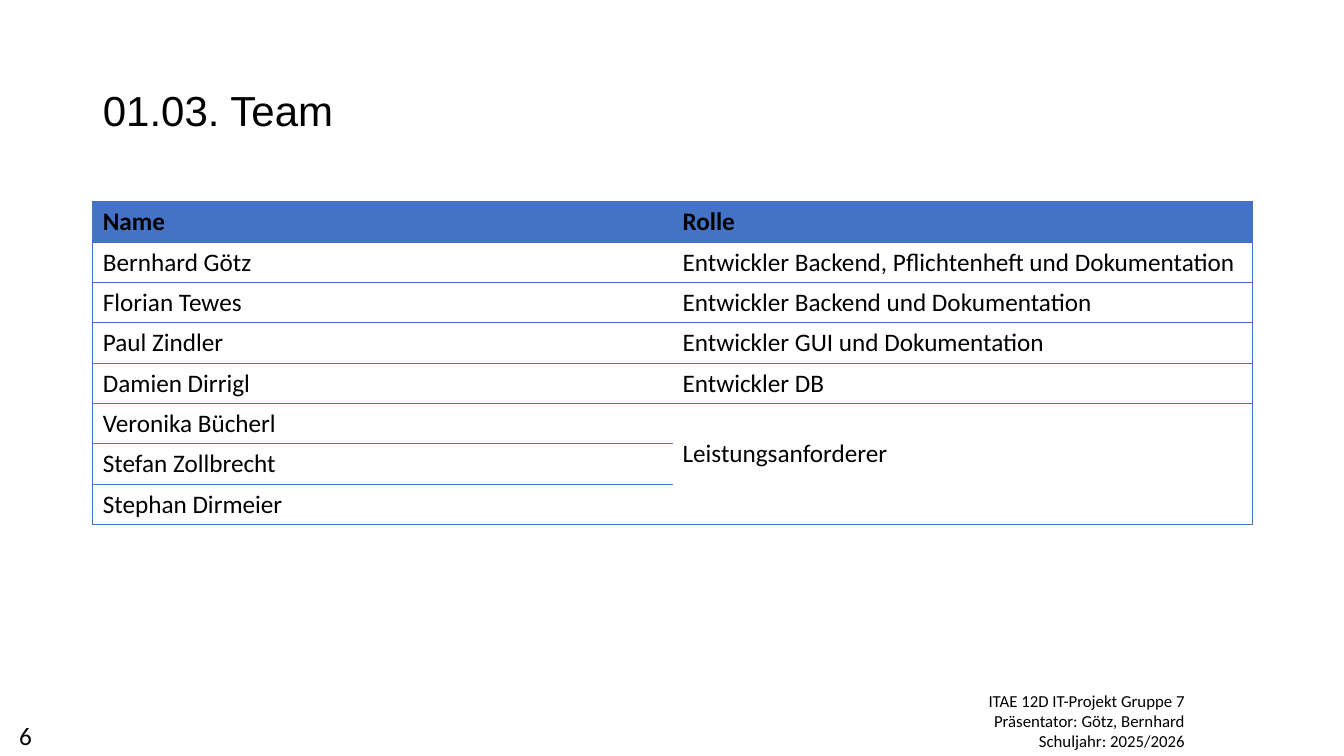
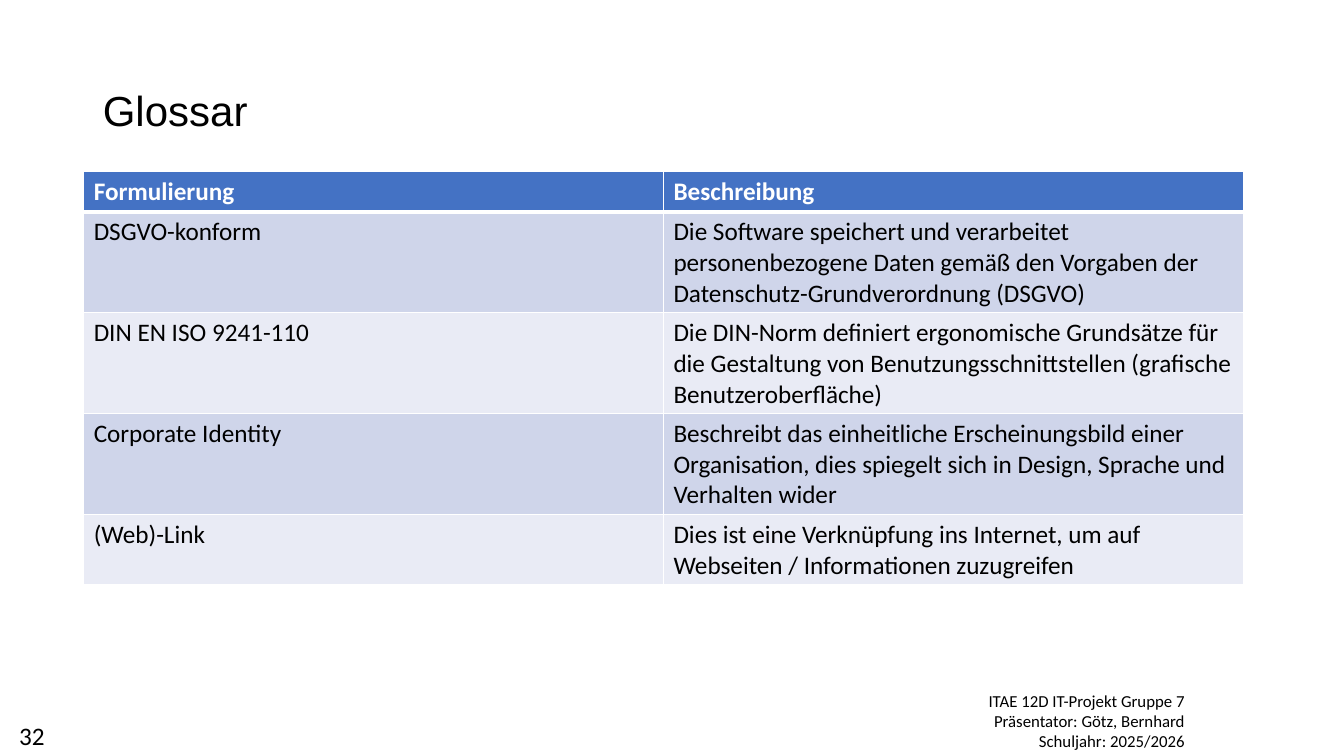
"""Build the team and glossary slides of a school IT project."""
import pptx
import pptx.dml.color
import pptx.enum.text
import pptx.util
from lxml import etree

EMU_PER_PX = 9144
BLACK, WHITE, BLUE = "000000", "FFFFFF", "4472C4"
BANDS = ("CFD5EA", "E9EBF5")
BODY_FONT, TITLE_FONT = "Calibri", "Arial"
COLUMN_WIDTH, ROW_HEIGHT = 575, 40
TITLE_BOX = (92, 40, 1150, 145)
FOOTER_BOX = (883, 680, 302, 71)
NUMBER_BOX = (9, 710, 82, 40)
LEFT, RIGHT = pptx.enum.text.PP_ALIGN.LEFT, pptx.enum.text.PP_ALIGN.RIGHT
DRAWING = "http://schemas.openxmlformats.org/drawingml/2006/main"

FOOTER = ["ITAE 12D IT-Projekt Gruppe 7", "Präsentator: Götz, Bernhard", "Schuljahr: 2025/2026"]
TEAM = [
    ("Name", "Rolle"),
    ("Bernhard Götz", "Entwickler Backend, Pflichtenheft und Dokumentation"),
    ("Florian Tewes", "Entwickler Backend und Dokumentation"),
    ("Paul Zindler", "Entwickler GUI und Dokumentation"),
    ("Damien Dirrigl", "Entwickler DB"),
    ("Veronika Bücherl", "Leistungsanforderer"),
    ("Stefan Zollbrecht", ""),
    ("Stephan Dirmeier", ""),
]
GLOSSARY = [
    ("Formulierung", "Beschreibung"),
    ("DSGVO-konform", "Die Software speichert und verarbeitet personenbezogene Daten gemäß "
     "den Vorgaben der Datenschutz-Grundverordnung (DSGVO)"),
    ("DIN EN ISO 9241-110", "Die DIN-Norm definiert ergonomische Grundsätze für die Gestaltung "
     "von Benutzungsschnittstellen (grafische Benutzeroberfläche)"),
    ("Corporate Identity", "Beschreibt das einheitliche Erscheinungsbild einer Organisation, "
     "dies spiegelt sich in Design, Sprache und Verhalten wider"),
    ("(Web)-Link", "Dies ist eine Verknüpfung ins Internet, um auf Webseiten / "
     "Informationen zuzugreifen"),
]


def px(length):
    return pptx.util.Emu(length * EMU_PER_PX)


def rgb(value):
    return pptx.dml.color.RGBColor.from_string(value)


def style(frame, size, color=BLACK, font=BODY_FONT, bold=False, align=LEFT):
    for para in frame.paragraphs:
        para.alignment = align
        para.font.size = pptx.util.Pt(size)
        para.font.name = font
        para.font.bold = bold
        para.font.color.rgb = rgb(color)


def add_text(page, place, lines, size, align=LEFT):
    frame = page.shapes.add_textbox(*map(px, place)).text_frame
    frame.word_wrap = True
    frame.text = "\n".join(lines)
    style(frame, size, align=align)


def add_page(deck, title, number):
    page = deck.slides.add_slide(deck.slide_layouts[5])
    add_text(page, FOOTER_BOX, FOOTER, 12, RIGHT)
    add_text(page, NUMBER_BOX, [number], 18)
    heading = page.shapes.title
    heading.left, heading.top, heading.width, heading.height = map(px, TITLE_BOX)
    frame = heading.text_frame
    frame.text = title
    frame.auto_size = pptx.enum.text.MSO_AUTO_SIZE.NONE
    frame.vertical_anchor = pptx.enum.text.MSO_ANCHOR.MIDDLE
    frame.paragraphs[0].line_spacing = 0.9
    style(frame, 30, font=TITLE_FONT)
    return page


def set_borders(cell, color, widths):
    properties = cell._tc.get_or_add_tcPr()
    for side, width in zip("LRTB", widths):
        line = etree.SubElement(properties, f"{{{DRAWING}}}ln{side}")
        if not width:
            etree.SubElement(line, f"{{{DRAWING}}}noFill")
            continue
        line.set("w", str(pptx.util.Pt(width)))
        fill = etree.SubElement(line, f"{{{DRAWING}}}solidFill")
        etree.SubElement(fill, f"{{{DRAWING}}}srgbClr", val=color)


def outer_widths(row, column):
    return (0, 0.5)[column == 0], (0, 0.5)[column == 1], 0.5, 0.5


def grid_widths(row, column):
    return 1, 1, 3 if row == 1 else 1, 3 if row == 0 else 1


def add_grid(page, left, top, rows, line_color, widths, header_color, bands):
    columns = len(rows[0])
    table = page.shapes.add_table(len(rows), columns, px(left), px(top),
                                  px(COLUMN_WIDTH * columns), px(ROW_HEIGHT * len(rows))).table
    for row, texts in enumerate(rows):
        for column, text in enumerate(texts):
            cell = table.cell(row, column)
            cell.text = text
            style(cell.text_frame, 18, BLACK if row else header_color, bold=row == 0)
            set_borders(cell, line_color, widths(row, column))
            if row and not bands:
                cell.fill.background()
            else:
                cell.fill.solid()
                cell.fill.fore_color.rgb = rgb(bands[(row - 1) % len(bands)] if row else BLUE)
    return table


def main():
    deck = pptx.Presentation()
    deck.slide_width, deck.slide_height = px(1333), px(750)

    team_page = add_page(deck, "01.03. Team", "6")
    team = add_grid(team_page, 92, 200, TEAM, BLUE, outer_widths, BLACK, ())
    client_role = team.cell(5, 1)
    client_role.merge(team.cell(7, 1))
    client_role.margin_top = px(35)

    glossary_page = add_page(deck, "Glossar", "32")
    add_grid(glossary_page, 83, 170, GLOSSARY, WHITE, grid_widths, WHITE, BANDS)

    deck.save("out.pptx")


if __name__ == "__main__":
    main()
